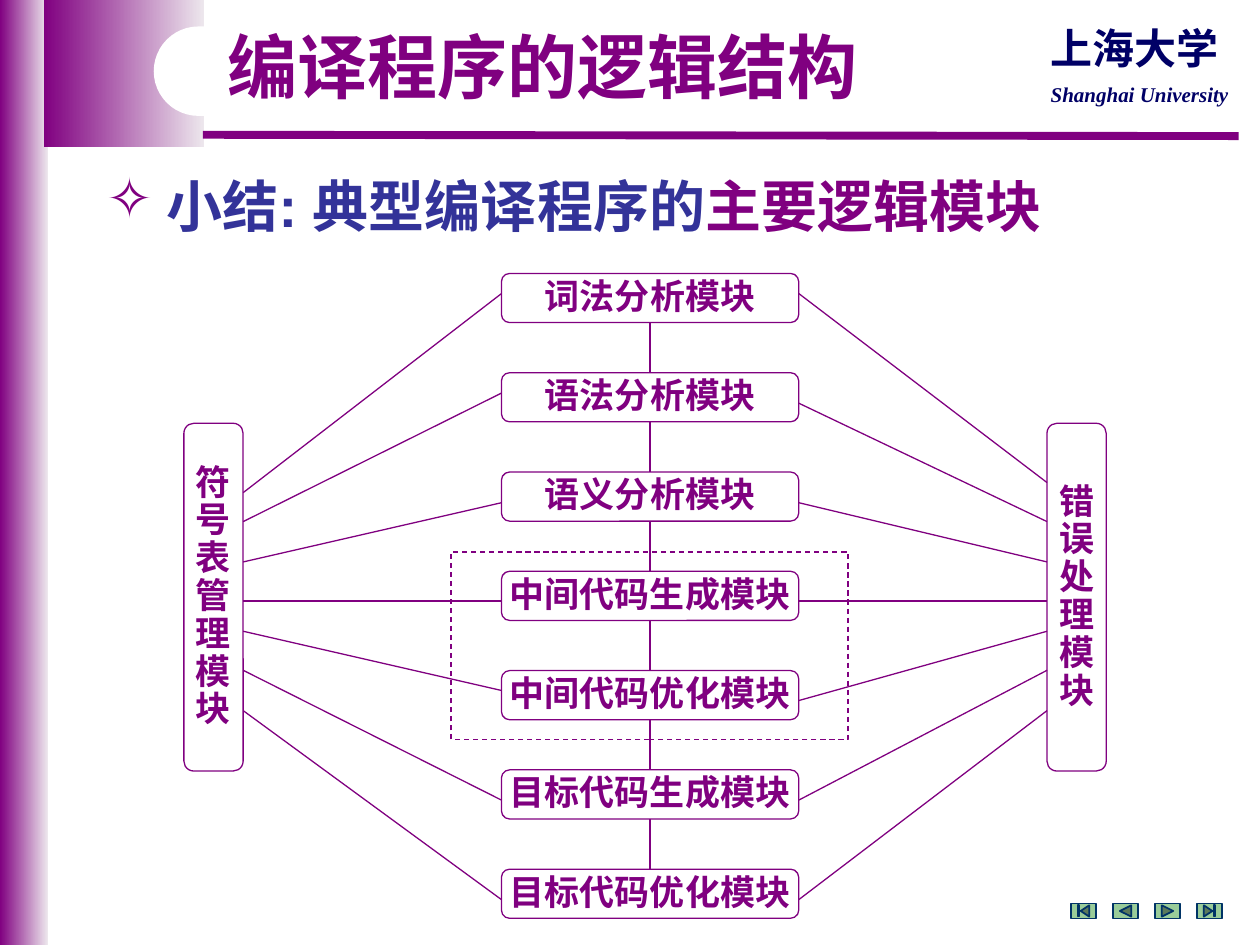
import pptx
import pptx.util
import pptx.dml.color
import pptx.enum.dml
import pptx.enum.shapes
import pptx.enum.text
import pptx.oxml.ns
from lxml import etree

Inches = pptx.util.Inches
Pt = pptx.util.Pt
color = pptx.dml.color.RGBColor.from_string
Kind = pptx.enum.shapes.MSO_SHAPE
Align = pptx.enum.text.PP_ALIGN
Anchor = pptx.enum.text.MSO_ANCHOR
qn = pptx.oxml.ns.qn
PURPLE, WHITE, NAVY = "800080", "FFFFFF", "000066"
HAN = "Noto Sans CJK SC"

deck = pptx.Presentation()
deck.slide_width, deck.slide_height = Inches(10), Inches(7.5)
slide = deck.slides.add_slide(deck.slide_layouts[5])
shapes = slide.shapes


def draw(kind, box, fill=None, edge=None, width=0.75):
    shape = shapes.add_shape(kind, *map(Inches, box))
    shape.shadow.inherit = False
    if fill:
        shape.fill.solid()
        shape.fill.fore_color.rgb = color(fill)
    else:
        shape.fill.background()
    if edge:
        shape.line.color.rgb = color(edge)
        shape.line.width = Pt(width)
    else:
        shape.line.fill.background()
    return shape


def write(para, text, size, tint=PURPLE, face="Arial"):
    run = para.add_run()
    run.text = text
    run.font.size = Pt(size)
    run.font.bold = True
    run.font.name = face
    run.font.color.rgb = color(tint)
    etree.SubElement(run.font._element, qn("a:ea"), typeface=HAN)
    return run


for box in [(0, 0, 0.38, 7.5), (0.35, 0, 1.27, 1.17)]:
    band = draw(Kind.RECTANGLE, box)
    band.fill.gradient()
    band.fill.gradient_angle = 0
    for stop, tint, place in zip(band.fill.gradient_stops, (PURPLE, "EDE7ED"), (0, 1)):
        stop.color.rgb = color(tint)
        stop.position = place

lines = [(1.61, 1.07, 9.83, 1.08, 4.5)]
pill = draw(Kind.ROUNDED_RECTANGLE, (1.22, 0.21, 3.62, 0.71), WHITE)
pill.adjustments[0] = 0.5

marks = [
    ("Shanghai University", (8.23, 0.6, 1.63, 0.3), 12, "Times New Roman"),
    ("上海大学", (8.23, 0.13, 1.55, 0.5), 24, HAN),
]
for text, box, size, face in marks:
    frame = shapes.add_textbox(*map(Inches, box)).text_frame
    frame.word_wrap = False
    para = frame.paragraphs[0]
    para.alignment = Align.CENTER
    run = write(para, text, size, NAVY, face)
    run.font.italic = size == 12

buttons = [
    Kind.ACTION_BUTTON_BEGINNING,
    Kind.ACTION_BUTTON_BACK_OR_PREVIOUS,
    Kind.ACTION_BUTTON_FORWARD_OR_NEXT,
    Kind.ACTION_BUTTON_END,
]
for i, kind in enumerate(buttons):
    draw(kind, (8.5 + i / 3, 7.17, 0.2, 0.12), "99CC99", "003366", 1)

title = shapes.title
shapes._spTree.append(title._element)
title.left, title.top = Inches(1.65), Inches(0.21)
title.width, title.height = Inches(5.31), Inches(0.7)
frame = title.text_frame
frame.word_wrap = True
frame.auto_size = pptx.enum.text.MSO_AUTO_SIZE.NONE
frame.vertical_anchor = Anchor.TOP
para = frame.paragraphs[0]
para.alignment = Align.CENTER
para.line_spacing = 0.9
write(para, "编译程序的逻辑结构", 40)

frame = shapes.add_textbox(Inches(0.75), Inches(1.31), Inches(7.88), Inches(0.63)).text_frame
frame.word_wrap = True
para = frame.paragraphs[0]
props = para._p.get_or_add_pPr()
props.set("marL", str(Inches(0.34)))
props.set("indent", str(-Inches(0.34)))
tone = etree.SubElement(props, qn("a:buClr"))
etree.SubElement(tone, qn("a:srgbClr"), val=PURPLE)
etree.SubElement(props, qn("a:buChar"), char="✧")
write(para, " 小结: 典型编译程序的", 32, "333399")
write(para, "主要逻辑模块", 32)

steps = [
    "词法分析模块", "语法分析模块", "语义分析模块", "中间代码生成模块",
    "中间代码优化模块", "目标代码生成模块", "目标代码优化模块",
]
pitch = 0.788
nodes = [([text], (3.98, 2.17 + i * pitch, 2.36, 0.39)) for i, text in enumerate(steps)]
nodes += [("符号表管理模块", (1.46, 3.36, 0.47, 2.76)), ("错误处理模块", (8.31, 3.36, 0.47, 2.76))]
for parts, box in nodes:
    node = draw(Kind.ROUNDED_RECTANGLE, box, WHITE, PURPLE)
    node.adjustments[0] = 0.167
    frame = node.text_frame
    frame.word_wrap = False
    frame.vertical_anchor = Anchor.MIDDLE
    for i, text in enumerate(parts):
        para = frame.add_paragraph() if i else frame.paragraphs[0]
        para.alignment = Align.CENTER
        para.line_spacing = 0.9
        write(para, text, 20)

for i in range(6):
    top = 2.17 + i * pitch
    lines.append((5.16, top + 0.39, 5.16, top + pitch, 0.75))

table = [3.91, 4.14, 4.46, 4.77, 5.01, 5.32, 5.64]
left = [2.33, 3.12, 3.99, 4.77, 5.48, 6.35, 7.14]
right = [2.33, 3.2, 3.99, 4.77, 5.56, 6.35, 7.14]
error = [3.83] + table[1:]
lines += [(1.93, a, 3.98, b, 0.75) for a, b in zip(table, left)]
lines += [(6.34, a, 8.31, b, 0.75) for a, b in zip(right, error)]
for *ends, width in lines:
    line = shapes.add_connector(pptx.enum.shapes.MSO_CONNECTOR.STRAIGHT, *map(Inches, ends))
    line.line.color.rgb = color(PURPLE)
    line.line.width = Pt(width)
    etree.SubElement(line._element.spPr, qn("a:effectLst"))

group = draw(Kind.RECTANGLE, (3.58, 4.38, 3.15, 1.49), None, PURPLE)
group.line.dash_style = pptx.enum.dml.MSO_LINE.DASH

deck.save("out.pptx")
